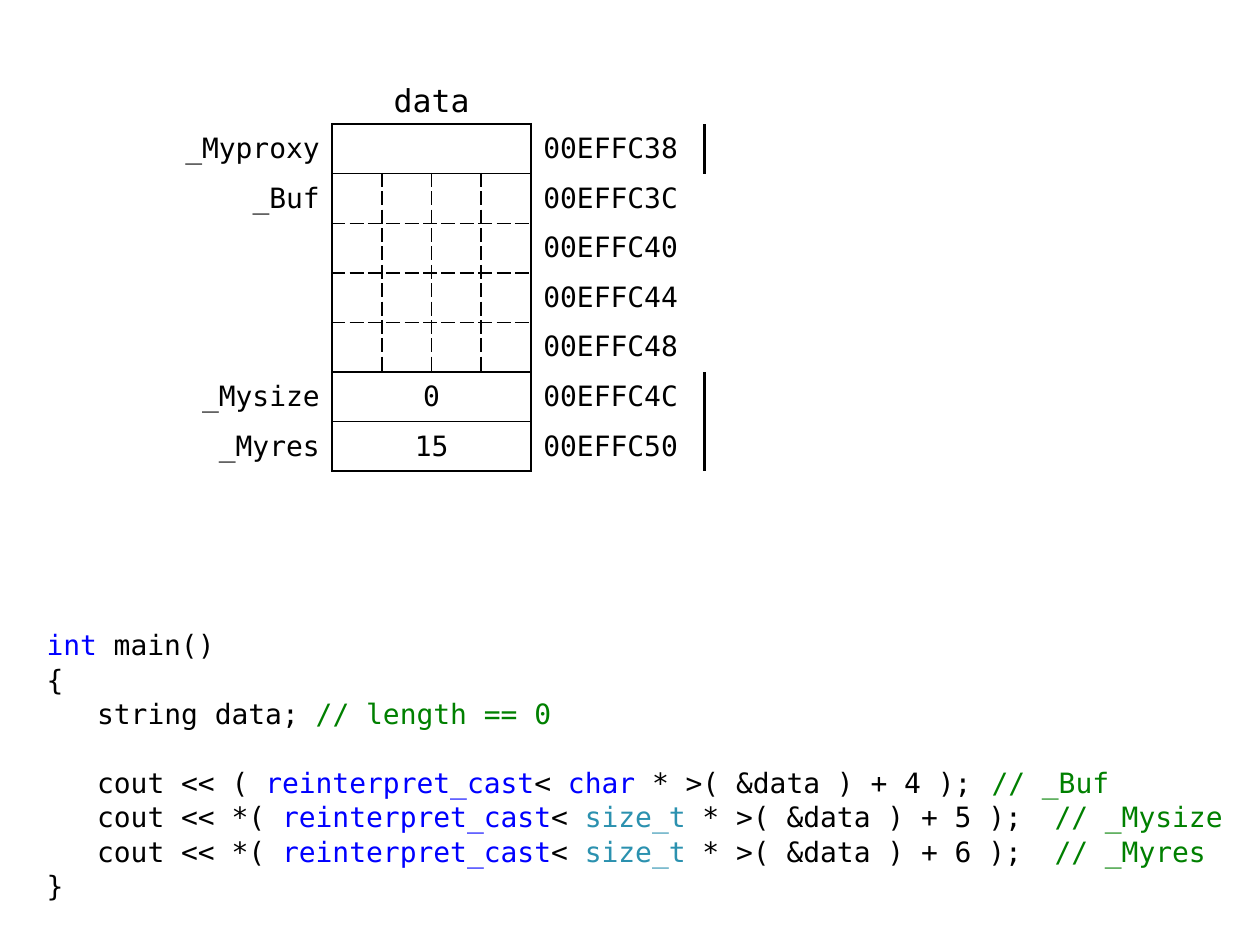
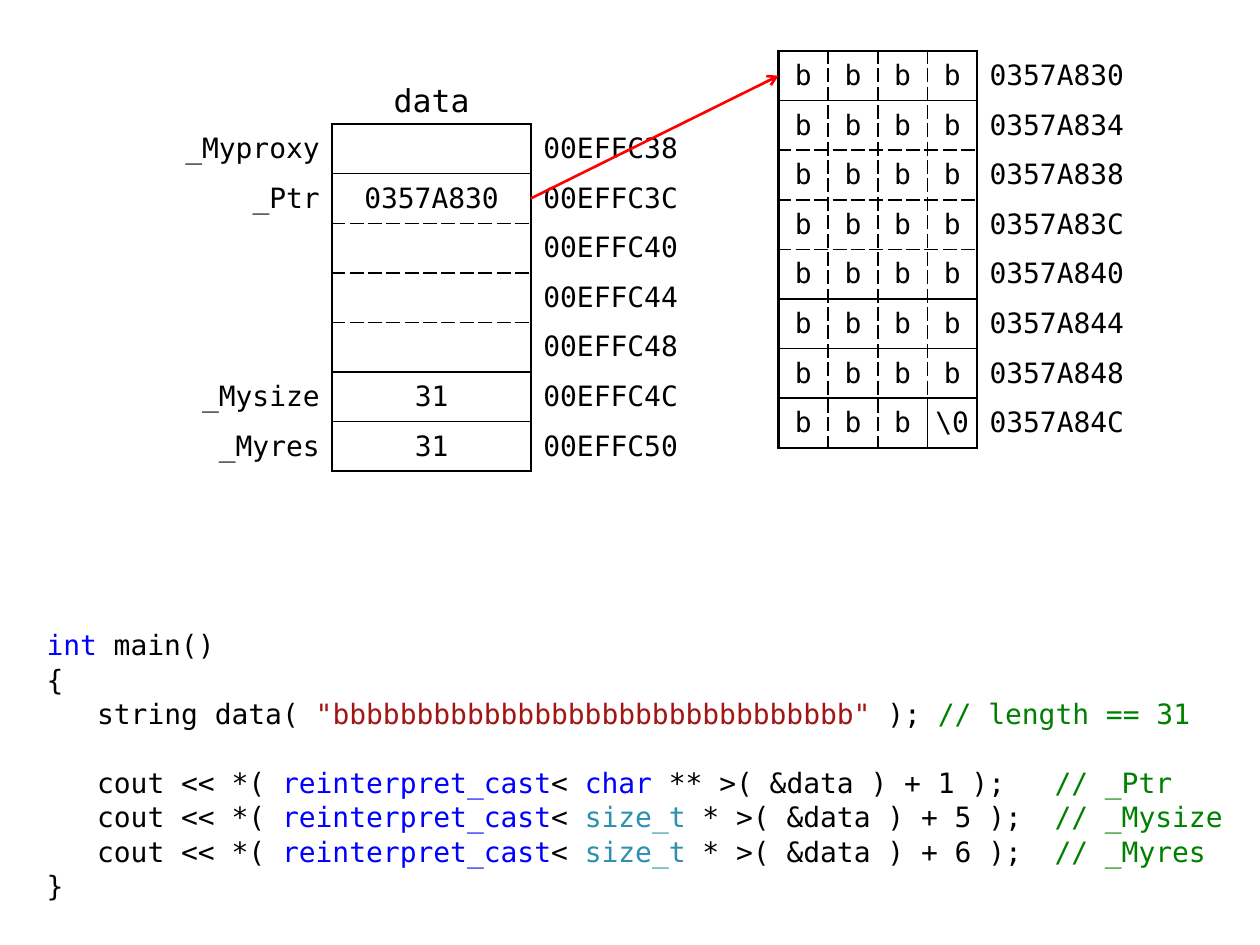
from pptx import Presentation
from pptx.dml.color import RGBColor
from pptx.enum import text
from pptx.enum import shapes
from pptx.oxml import ns
from pptx.util import Pt
from lxml import etree

FONT = "DejaVu Sans Mono"
BLACK, BLUE, TEAL, GREEN, RED, ARROW = "000000", "0000FF", "2B91AF", "008000", "A31515", "FF0000"
CELL = 28.35
SIDE = 3.5 * CELL
WORD = 4 * CELL
DATA_LEFT, DATA_TOP = 90.7, 70.9
HEAP_LEFT, HEAP_TOP = 444.9, 29.1
CODE_BOX = (19.4, 355, 680.4, 156)
INDENT, COMMENT_STOP, CODE_LEADING, BLANK_LINE = 28.9, 567, 0.6, 19.8
OUTER, SOLID, DASHED = (1.5, "solid"), (1, "solid"), (1, "sysDash")
DASHED_RULES = (2, 3, 4)
NO_STYLE = "{2D5ABB26-0587-4C30-8999-92F81FD0307C}"
DATA_ADDRESSES = [f"{0x00EFFC38 + 4 * row:08X}" for row in range(7)]
HEAP_ADDRESSES = [f"{0x0357A830 + 4 * row:08X}" for row in range(8)]
LEFT, CENTER, RIGHT = text.PP_ALIGN.LEFT, text.PP_ALIGN.CENTER, text.PP_ALIGN.RIGHT


def colour(value):
    return RGBColor.from_string(value)


def add_child(parent, tag, **attributes):
    return etree.SubElement(parent, ns.qn(tag), attributes)


def add_span(para, words, hue=BLACK, size=16):
    span = para.add_run()
    span.text = words
    span.font.name = FONT
    span.font.size = Pt(size)
    span.font.color.rgb = colour(hue)


def fill_cell(cell, words, align, margins, **edges):
    properties = cell._tc.get_or_add_tcPr()
    for side in "LRTB":
        if edges.get(side):
            width, dash = edges[side]
            line = add_child(properties, f"a:ln{side}", w=str(Pt(width)))
            add_child(add_child(line, "a:solidFill"), "a:srgbClr", val=BLACK)
            add_child(line, "a:prstDash", val=dash)
    cell.fill.background()
    cell.vertical_anchor = text.MSO_ANCHOR.MIDDLE
    cell.margin_left, cell.margin_right = (Pt(margin) for margin in margins)
    cell.margin_top = cell.margin_bottom = Pt(2.88)
    if words:
        para = cell.text_frame.paragraphs[0]
        para.alignment = align
        add_span(para, words)


def add_memory(page, left, top, rows, addresses, labels=None):
    columns = max(len(values) for values in rows)
    first = 1 if labels else 0
    widths = [SIDE] * first + [WORD / columns] * columns + [SIDE]
    frame = page.shapes.add_table(len(rows), len(widths), Pt(left), Pt(top),
                                  Pt(sum(widths)), Pt(CELL * len(rows)))
    frame.element.xpath(".//a:tableStyleId")[0].text = NO_STYLE
    table = frame.table
    table.first_row = table.horz_banding = False
    for column, width in zip(table.columns, widths):
        column.width = Pt(width)
    rules = [DASHED if i in DASHED_RULES else SOLID for i in range(len(rows) + 1)]
    rules[0] = rules[-1] = OUTER

    for i, (values, address) in enumerate(zip(rows, addresses)):
        table.rows[i].height = Pt(CELL)
        if labels:
            fill_cell(table.cell(i, 0), labels[i], RIGHT, (7.2, 7.2), R=OUTER)
        merged = len(values) < columns
        if merged:
            table.cell(i, first).merge(table.cell(i, first + columns - 1))
        dividers = [OUTER]
        for value in values[1:]:
            dividers.append(SOLID if value == "\\0" else DASHED)
        dividers += [None] * (columns - len(values)) + [OUTER]
        for j in range(columns):
            right = OUTER if merged and j == 0 else dividers[j + 1]
            fill_cell(table.cell(i, first + j), values[j] if j < len(values) else "",
                      CENTER, (0, 0), L=dividers[j], R=right, T=rules[i], B=rules[i + 1])
        fill_cell(table.cell(i, first + columns), address, LEFT, (7.2, 5.76), L=OUTER)


def add_data(page, rows, buffer_label):
    labels = ["_Myproxy", buffer_label, "", "", "", "_Mysize", "_Myres"]
    add_memory(page, DATA_LEFT, DATA_TOP, rows, DATA_ADDRESSES, labels)
    box = page.shapes.add_textbox(Pt(DATA_LEFT + SIDE), Pt(DATA_TOP - CELL), Pt(WORD), Pt(CELL))
    box.text_frame.word_wrap = True
    para = box.text_frame.paragraphs[0]
    para.alignment = CENTER
    add_span(para, "data", size=18)


def add_pointer(page):
    line = page.shapes.add_connector(
        shapes.MSO_CONNECTOR.STRAIGHT,
        Pt(DATA_LEFT + SIDE + WORD), Pt(DATA_TOP + 1.5 * CELL),
        Pt(HEAP_LEFT), Pt(HEAP_TOP + CELL / 2))
    line.line.color.rgb = colour(ARROW)
    line.line.width = Pt(1.5)
    add_child(line.line._get_or_add_ln(), "a:tailEnd", type="arrow")
    add_child(line.element.spPr, "a:effectLst")


def cast_line(opening, kind, hue, rest, comment):
    return [("cout << " + opening, BLACK), ("reinterpret_cast", BLUE), ("< ", BLACK),
            (kind, hue), (rest, BLACK), ("\t// " + comment, GREEN)]


def add_code(page, declaration, first_cast):
    box = page.placeholders[1]
    box.left, box.top, box.width, box.height = (Pt(length) for length in CODE_BOX)
    frame = box.text_frame
    frame.word_wrap = True
    frame.auto_size = text.MSO_AUTO_SIZE.NONE
    frame.vertical_anchor = text.MSO_ANCHOR.TOP
    frame.margin_right = 0
    casts = [first_cast]
    for offset, member in ((5, "_Mysize"), (6, "_Myres")):
        casts.append(cast_line("*( ", "size_t", TEAL, f" * >( &data ) + {offset} );", member))
    body = [declaration] + casts
    lines = [[("int", BLUE), (" main()", BLACK)], [("{", BLACK)], *body, [("}", BLACK)]]
    for i, spans in enumerate(lines):
        para = frame.paragraphs[0] if i == 0 else frame.add_paragraph()
        para.line_spacing = 1.0
        para.space_before = Pt(BLANK_LINE if spans is first_cast else CODE_LEADING)
        para.space_after = Pt(0)
        properties = para._p.get_or_add_pPr()
        properties.set("marL", "0")
        properties.set("indent", str(Pt(INDENT if spans in body else 0)))
        add_child(properties, "a:buNone")
        add_child(add_child(properties, "a:tabLst"), "a:tab", pos=str(Pt(COMMENT_STOP)), algn="l")
        for words, hue in spans:
            add_span(para, words, hue)


def add_page(deck):
    page = deck.slides.add_slide(deck.slide_layouts[1])
    title = page.shapes.title.element
    title.getparent().remove(title)
    return page


def add_short_string(deck):
    page = add_page(deck)
    add_code(page, [("string data; ", BLACK), ("// length == 0", GREEN)],
             cast_line("( ", "char", BLUE, " * >( &data ) + 4 );", "_Buf"))
    add_data(page, [[""]] + [[""] * 4] * 4 + [["0"], ["15"]], "_Buf")


def add_long_string(deck):
    page = add_page(deck)
    add_code(page, [("string data( ", BLACK), ('"' + "b" * 31 + '" ', RED),
                    ("); ", BLACK), ("// length == 31", GREEN)],
             cast_line("*( ", "char", BLUE, " ** >( &data ) + 1 );", "_Ptr"))
    add_data(page, [[""], [HEAP_ADDRESSES[0]], [""], [""], [""], ["31"], ["31"]], "_Ptr")
    add_memory(page, HEAP_LEFT, HEAP_TOP, [["b"] * 4] * 7 + [["b"] * 3 + ["\\0"]], HEAP_ADDRESSES)
    add_pointer(page)


def main():
    deck = Presentation()
    deck.slide_width, deck.slide_height = Pt(720), Pt(540)
    add_short_string(deck)
    add_long_string(deck)
    deck.save("out.pptx")


if __name__ == "__main__":
    main()
